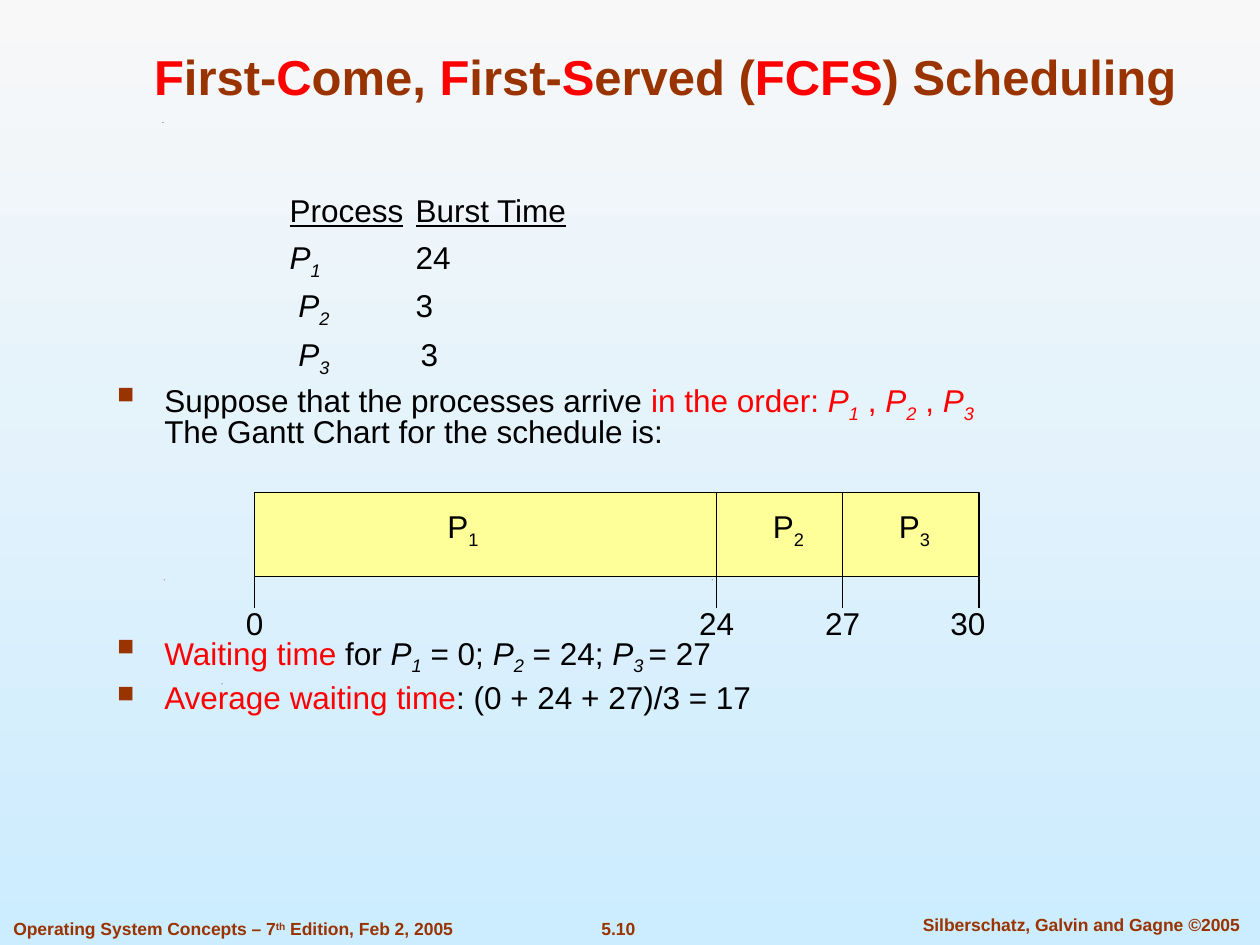
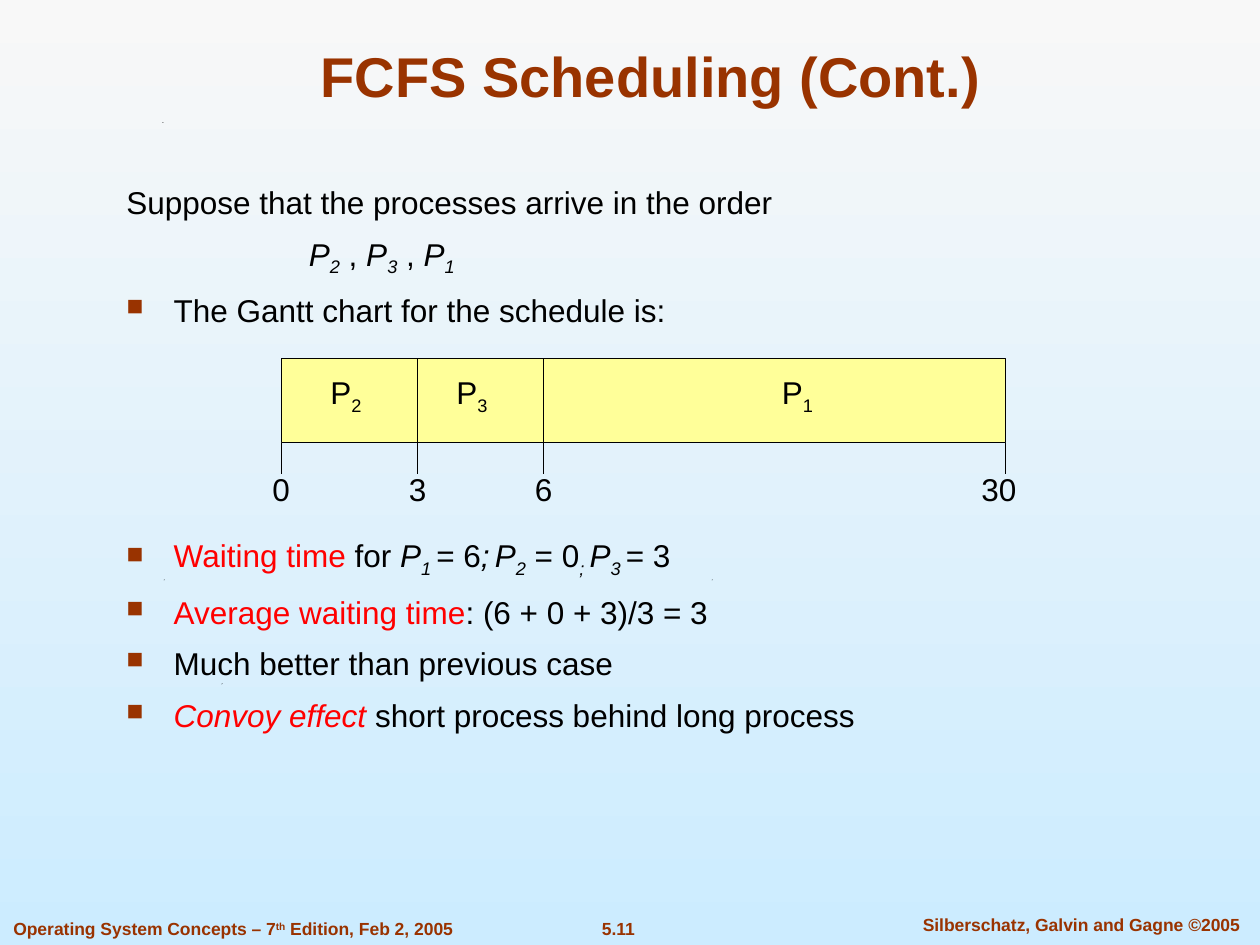
from lxml import etree
from pptx import Presentation
from pptx.dml.color import RGBColor
from pptx.enum import shapes, text
from pptx.oxml import ns
from pptx.util import Pt

COLORS = {"brown": "993300", "red": "FF0000", "black": "000000", "bar": "FFFF99",
          "sky_top": "F8F8F8", "sky_bottom": "CCECFF"}
FONT = "Arial"


# Content. A run is (text, style): r red, i italic, u underlined, _ subscript, ^ superscript
def process(number, style=""):
    return [("P", "i" + style), (number, "i_" + style)]


FOOTER_LEFT = [("Operating System Concepts – 7", ""), ("th", "^"), (" Edition, Feb 2, 2005", "")]
FOOTER_RIGHT = [("Silberschatz, Galvin and Gagne ©2005", "")]

# Small marks of the template: left, top
SPECKS = [(126.7, 390.6), (93.6, 331.2), (406.8, 331.2), (92.9, 69.8)]

# Gantt segments: width and offset of the label from the left edge
SEGMENTS = [(264, 119), (72, 41), (78, 41)]

SLIDES = [
    {
        "number": "5.10",
        "title": [("F", "r"), ("irst-", ""), ("C", "r"), ("ome, ", ""), ("F", "r"), ("irst-", ""),
                  ("S", "r"), ("erved (", ""), ("FCFS", "r"), (") Scheduling", "")],
        "title_box": (51.8, 28, 656.6, 36), "title_size": 28,
        "body_box": (59.8, 109.7, 595.4, 324), "line_spacing": 0.8,
        "body": [
            {"margin": 98.6, "runs": [("Process", "u"), ("\t", ""), ("Burst Time", "u")]},
            {"margin": 98.6, "runs": [*process("1"), ("\t\t24", "")]},
            {"margin": 98.6, "runs": [(" ", ""), *process("2"), ("\t\t3", "")]},
            {"margin": 98.6, "runs": [(" ", ""), *process("3"), ("\t\t", ""), (" ", "_"),
                                      ("3", "")]},
            {"bullet": True, "before": 7,
             "runs": [("Suppose that the processes arrive ", ""), ("in the order: ", "r"),
                      *process("1", "r"), (" , ", "r"), *process("2", "r"), (" , ", "r"),
                      *process("3", "r"), ("\n", ""),
                      ("The Gantt Chart for the schedule is:", "")]},
            {"bullet": True, "before": 107.2,
             "runs": [("Waiting time ", "r"), ("for ", ""), *process("1"), (" = 0; ", ""),
                      *process("2"), (" = 24; ", ""), *process("3"), (" ", "i_"),
                      ("= 27", "")]},
            {"bullet": True,
             "runs": [("Average waiting time", "r"), (": (0 + 24 + 27)/3 = 17", "")]},
        ],
        "gantt": {"left": 145.5, "top": 281.5, "order": "123", "mirrored": False,
                  "times": ("0", "24", "27", "30"), "last_shift": -6.5},
    },
    {
        "number": "5.11",
        "title": [("FCFS Scheduling (Cont.)", "")],
        "title_box": (54, 17.6, 635.8, 48.2), "title_size": 32,
        "body_box": (65.2, 101, 578.9, 352.8), "line_spacing": 1.0,
        "body": [
            {"runs": [("Suppose that the processes arrive in the order", "")]},
            {"margin": 104.2,
             "runs": [*process("2"), (" , ", ""), *process("3"), (" , ", ""), *process("1")]},
            {"bullet": True, "runs": [("The Gantt chart for the schedule is:", "")]},
            {"bullet": True, "before": 118.2,
             "runs": [("Waiting time ", "r"), ("for ", ""), *process("1"), (" ", "i_"),
                      ("= 6", ""), (";", "i"), (" ", "i_"), *process("2"), (" = 0", ""),
                      ("; ", "i_"), *process("3"), (" ", "i_"), ("= 3", "")]},
            {"bullet": True,
             "runs": [("Average waiting time", "r"), (": (6 + 0 + 3)/3 = 3", "")]},
            {"bullet": True, "runs": [("Much better than previous case", "")]},
            {"bullet": True,
             "runs": [("Convoy effect ", "ri"), ("short process behind long process", "")]},
        ],
        "gantt": {"left": 160.7, "top": 205, "order": "231", "mirrored": True,
                  "times": ("0", "3", "6", "30"), "last_shift": -4},
    },
]


def rgb(name):
    return RGBColor.from_string(COLORS[name])


def sub(parent, tag, **attrs):
    return etree.SubElement(parent, ns.qn(tag), attrs)


def fill_paragraph(p, runs, size, color="black", bold=False):
    for content, style in runs:
        if content == "\n":
            p.add_line_break()
            continue
        r = p.add_run()
        r.text = content
        f = r.font
        f.name, f.size, f.bold = FONT, Pt(size), bold
        f.italic, f.underline = "i" in style, "u" in style
        f.color.rgb = rgb("red" if "r" in style else color)
        for mark, baseline in (("_", "-25000"), ("^", "30000")):
            if mark in style:
                r._r.get_or_add_rPr().set("baseline", baseline)


def add_text(s, box, runs, size, color="black", bold=False, align="CENTER",
             anchor="TOP", wrap=True):
    tf = s.shapes.add_textbox(*map(Pt, box)).text_frame
    tf.word_wrap = wrap
    tf.vertical_anchor = text.MSO_ANCHOR[anchor]
    p = tf.paragraphs[0]
    p.alignment = text.PP_ALIGN[align]
    fill_paragraph(p, runs, size, color, bold)


def add_body(s, box, items, line_spacing):
    tf = s.shapes.add_textbox(*map(Pt, box)).text_frame
    tf.word_wrap = True
    for i, item in enumerate(items):
        p = tf.paragraphs[0] if i == 0 else tf.add_paragraph()
        pPr = p._p.get_or_add_pPr()
        bullet = item.get("bullet", False)
        pPr.set("marL", str(Pt(27 if bullet else item.get("margin", 0))))
        pPr.set("indent", str(Pt(-27 if bullet else 0)))
        if bullet:
            sub(sub(pPr, "a:buClr"), "a:srgbClr", val=COLORS["brown"])
            sub(pPr, "a:buSzPct", val="74000")
            sub(pPr, "a:buChar", char="■")
        p.line_spacing = line_spacing
        p.space_before = Pt(item.get("before", 7.9) if i else 0)
        fill_paragraph(p, item["runs"], 18)


def add_line(s, x, top, bottom):
    c = s.shapes.add_connector(shapes.MSO_CONNECTOR.STRAIGHT, Pt(x), Pt(top), Pt(x), Pt(bottom))
    c.line.color.rgb, c.line.width = rgb("black"), Pt(0.75)
    sub(c._element.spPr, "a:effectLst")


def add_label(s, center, middle, runs):
    add_text(s, (center - 30, middle - 15, 60, 30), runs, 18, anchor="MIDDLE")


def add_gantt(s, left, top, order, mirrored, times, last_shift):
    height, tick = 48, 18
    bottom = top + height
    segments = SEGMENTS
    if mirrored:
        segments = [(width, width - offset) for width, offset in reversed(SEGMENTS)]
    edges = [left]
    for width, _ in segments:
        edges.append(edges[-1] + width)

    # Bar
    bar = s.shapes.add_shape(shapes.MSO_SHAPE.RECTANGLE, Pt(left), Pt(top),
                             Pt(edges[-1] - left), Pt(height))
    bar.shadow.inherit = False
    bar.fill.solid()
    bar.fill.fore_color.rgb = rgb("bar")
    bar.line.color.rgb, bar.line.width = rgb("black"), Pt(0.75)

    # Process names
    for x, (_, offset), number in zip(edges, segments, order):
        add_label(s, x + offset, top + 20.5, [("P", ""), (number, "_")])

    # Dividers, ticks and times
    for x in edges[1:-1]:
        add_line(s, x, top, bottom)
    for x, time in zip(edges, times):
        add_line(s, x, bottom, bottom + tick)
        add_label(s, x + (last_shift if x == edges[-1] else 0), top + 74.5, [(time, "")])


def add_specks(s):
    for x, y in SPECKS:
        builder = s.shapes.build_freeform(Pt(x), Pt(y))
        builder.add_line_segments([(Pt(x + 0.6), Pt(y)), (Pt(x), Pt(y + 0.5))], close=True)
        speck = builder.convert_to_shape()
        speck.shadow.inherit = False
        speck.fill.solid()
        speck.fill.fore_color.rgb = rgb("black")
        speck.line.fill.background()


def add_footer(s, number):
    style = {"size": 10, "color": "brown", "bold": True}
    add_text(s, (318, 521, 70.6, 19), [(number, "")], wrap=False, **style)
    add_text(s, (511, 518.8, 213.8, 19), FOOTER_RIGHT, **style)
    add_text(s, (0.5, 521, 265.7, 19), FOOTER_LEFT, align="LEFT", wrap=False, **style)


def main():
    prs = Presentation()
    prs.slide_width, prs.slide_height = Pt(720), Pt(540)

    # Shared background
    sky = prs.slide_master.background.fill
    sky.gradient()
    sky.gradient_angle = 270
    for stop, name in zip(sky.gradient_stops, ("sky_top", "sky_bottom")):
        stop.color.rgb = rgb(name)

    for data in SLIDES:
        s = prs.slides.add_slide(prs.slide_layouts[6])
        add_specks(s)
        add_footer(s, data["number"])
        add_text(s, data["title_box"], data["title"], data["title_size"], "brown", True,
                 anchor="BOTTOM")
        add_body(s, data["body_box"], data["body"], data["line_spacing"])
        add_gantt(s, **data["gantt"])
    prs.save("out.pptx")


if __name__ == "__main__":
    main()
